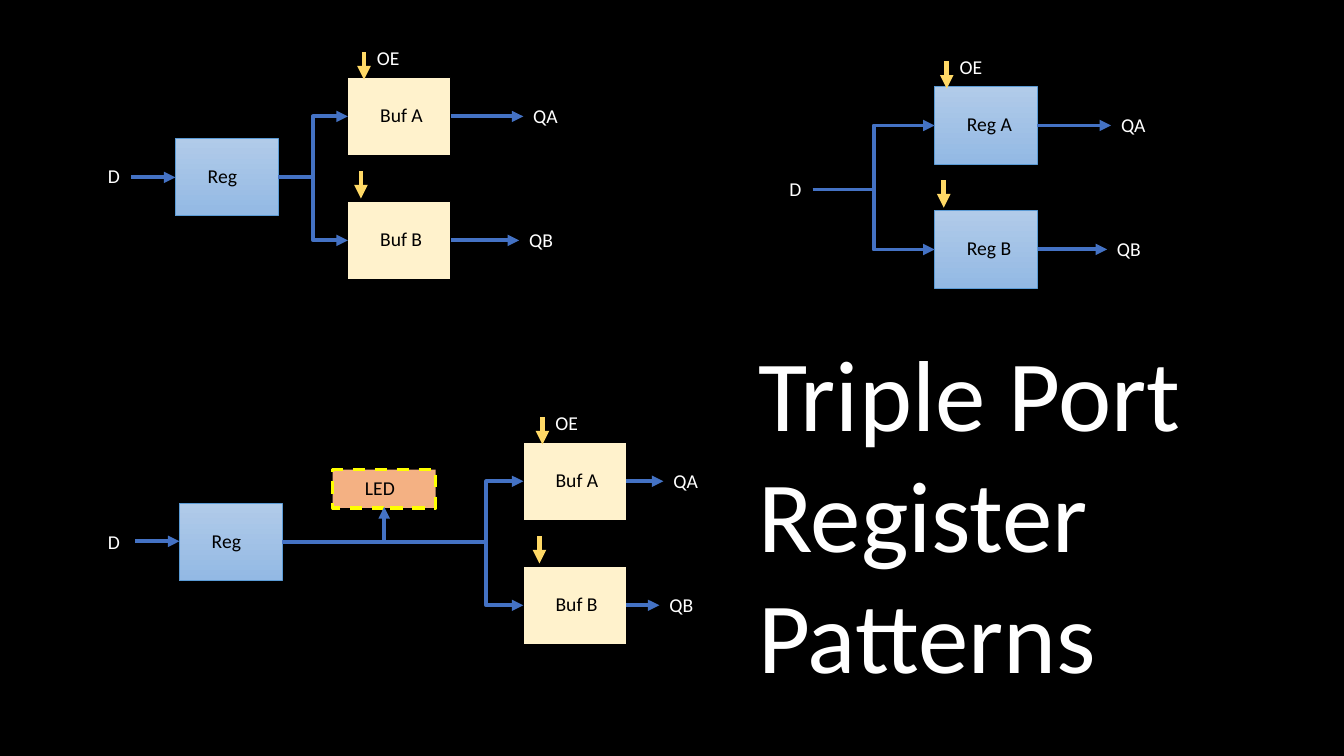
from dataclasses import dataclass

from lxml import etree
from pptx import Presentation
from pptx.dml.color import RGBColor
from pptx.enum import dml, shapes, text
from pptx.oxml import ns
from pptx.util import Inches, Pt


@dataclass(frozen=True)
class Theme:
    font: str = "Calibri"
    label_size: int = 14
    title_size: int = 72
    background: str = "000000"
    light_text: str = "FFFFFF"
    dark_text: str = "000000"
    wire: str = "4472C4"
    enable: str = "FFD966"
    buffer: str = "FFF2CC"
    buffer_edge: str = "000000"
    register_top: str = "B1CBE9"
    register_bottom: str = "93B9E4"
    register_edge: str = "5B9BD5"
    led: str = "F4B183"
    led_edge: str = "FFFF00"


THEME = Theme()
BLOCK_WIDTH, BLOCK_HEIGHT = 1.02, 0.77
PORT_PITCH = 1.23
LABEL_HEIGHT = 0.34


def color(value):
    return RGBColor.from_string(value)


def write(shape, words, size, ink, indent=0.1):
    frame = shape.text_frame
    frame.text = words
    frame.word_wrap = True
    frame.margin_left, frame.margin_right = Inches(indent), 0
    font = frame.paragraphs[0].runs[0].font
    font.name, font.size = THEME.font, Pt(size)
    font.color.rgb = color(ink)


def add_label(slide, left, top, words, width=0.51, height=LABEL_HEIGHT,
              size=THEME.label_size, indent=0.1):
    box = slide.shapes.add_textbox(
        Inches(left), Inches(top), Inches(width), Inches(height))
    write(box, words, size, THEME.light_text, indent)


def add_block(slide, left, top, words, edge, edge_width, height=BLOCK_HEIGHT):
    block = slide.shapes.add_shape(
        shapes.MSO_SHAPE.RECTANGLE, Inches(left), Inches(top),
        Inches(BLOCK_WIDTH), Inches(height))
    block.shadow.inherit = False
    block.line.color.rgb = color(edge)
    block.line.width = Pt(edge_width)
    write(block, words, THEME.label_size, THEME.dark_text, indent=0.32)
    block.text_frame.vertical_anchor = text.MSO_ANCHOR.MIDDLE
    paragraph = block.text_frame.paragraphs[0]
    paragraph.alignment = text.PP_ALIGN.JUSTIFY
    paragraph.line_spacing = 0.9
    return block


def add_register(slide, left, top, words):
    block = add_block(slide, left, top, words, THEME.register_edge, 0.5)
    block.fill.gradient()
    block.fill.gradient_angle = 270
    first, last = block.fill.gradient_stops
    first.color.rgb = color(THEME.register_top)
    last.color.rgb = color(THEME.register_bottom)


def add_buffer(slide, left, top, words):
    block = add_block(slide, left, top, words, THEME.buffer_edge, 0.75)
    block.fill.solid()
    block.fill.fore_color.rgb = color(THEME.buffer)


def add_led(slide, left, top):
    block = add_block(slide, left, top, "LED", THEME.led_edge, 2.25, height=0.38)
    block.line.dash_style = dml.MSO_LINE.DASH
    block.fill.solid()
    block.fill.fore_color.rgb = color(THEME.led)


def add_arrow(slide, kind, start, end, ink, width):
    arrow = slide.shapes.add_connector(
        kind, *(Inches(value) for value in (*start, *end)))
    arrow.line.color.rgb = color(ink)
    arrow.line.width = Pt(width)
    etree.SubElement(arrow.line._get_or_add_ln(), ns.qn("a:tailEnd"),
                     type="triangle")
    etree.SubElement(arrow._element.spPr, ns.qn("a:effectLst"))
    return arrow


def add_wire(slide, start, end, bend=0.5, single_bend=False):
    """Draw an elbow arrow that turns at the fraction bend of its width."""
    wire = add_arrow(slide, shapes.MSO_CONNECTOR.ELBOW, start, end,
                     THEME.wire, 2.75)
    geometry = wire._element.spPr.find(ns.qn("a:prstGeom"))
    if single_bend:
        geometry.set("prst", "bentConnector2")
    elif bend != 0.5:
        etree.SubElement(geometry.find(ns.qn("a:avLst")), ns.qn("a:gd"),
                         name="adj1", fmla=f"val {round(bend * 100000)}")


def add_enable(slide, x, top):
    add_arrow(slide, shapes.MSO_CONNECTOR.STRAIGHT, (x, top), (x, top + 0.27),
              THEME.enable, 3.25)


def add_input(slide, left, top):
    add_label(slide, left, top, "D", indent=0.28)


def add_port_pair(slide, add_port, name, left, top, source, output_length,
                  enable_offset, bend=0.5):
    """Draw ports A and B with their enables, feeds from source and outputs."""
    enable_x = left + enable_offset
    add_label(slide, enable_x + 0.03, top - 0.36, "OE", width=0.63)
    for index, letter in enumerate("AB"):
        port_top = top + index * PORT_PITCH
        middle = port_top + BLOCK_HEIGHT / 2
        right = left + BLOCK_WIDTH
        output_x = right + output_length - index * 0.04
        add_port(slide, left, port_top, f"{name} {letter}")
        add_wire(slide, source, (left, middle), bend)
        add_wire(slide, (right, middle), (output_x, middle))
        add_label(slide, output_x, middle - LABEL_HEIGHT / 2, f"Q{letter}",
                  width=0.55)
        add_enable(slide, enable_x - index * 0.03, port_top - 0.25 - index * 0.05)


def add_buffered_register(slide):
    add_input(slide, 0.79, 1.58)
    add_wire(slide, (1.3, 1.76), (1.74, 1.76))
    add_register(slide, 1.74, 1.37, "Reg")
    add_port_pair(slide, add_buffer, "Buf", 3.45, 0.77, source=(2.76, 1.76),
                  output_length=0.72, enable_offset=0.16)


def add_twin_registers(slide):
    add_input(slide, 7.55, 1.71)
    add_port_pair(slide, add_register, "Reg", 9.27, 0.86, source=(8.06, 1.88),
                  output_length=0.73, enable_offset=0.12)


def add_register_with_led(slide):
    add_input(slide, 0.79, 5.21)
    add_wire(slide, (1.34, 5.37), (1.78, 5.37))
    add_register(slide, 1.78, 4.99, "Reg")
    add_led(slide, 3.3, 4.66)
    add_wire(slide, (2.8, 5.38), (3.81, 5.03), single_bend=True)
    add_port_pair(slide, add_buffer, "Buf", 5.19, 4.39, source=(2.8, 5.38),
                  output_length=0.37, enable_offset=0.19, bend=0.846)


def main():
    presentation = Presentation()
    presentation.slide_width = Inches(13.33)
    presentation.slide_height = Inches(7.5)
    slide = presentation.slides.add_slide(presentation.slide_layouts[6])
    slide.background.fill.solid()
    slide.background.fill.fore_color.rgb = color(THEME.background)
    add_buffered_register(slide)
    add_twin_registers(slide)
    add_register_with_led(slide)
    add_label(slide, 7.42, 3.23, "Triple Port Register Patterns", width=5.35,
              height=3.74, size=THEME.title_size)
    presentation.save("out.pptx")


if __name__ == "__main__":
    main()
